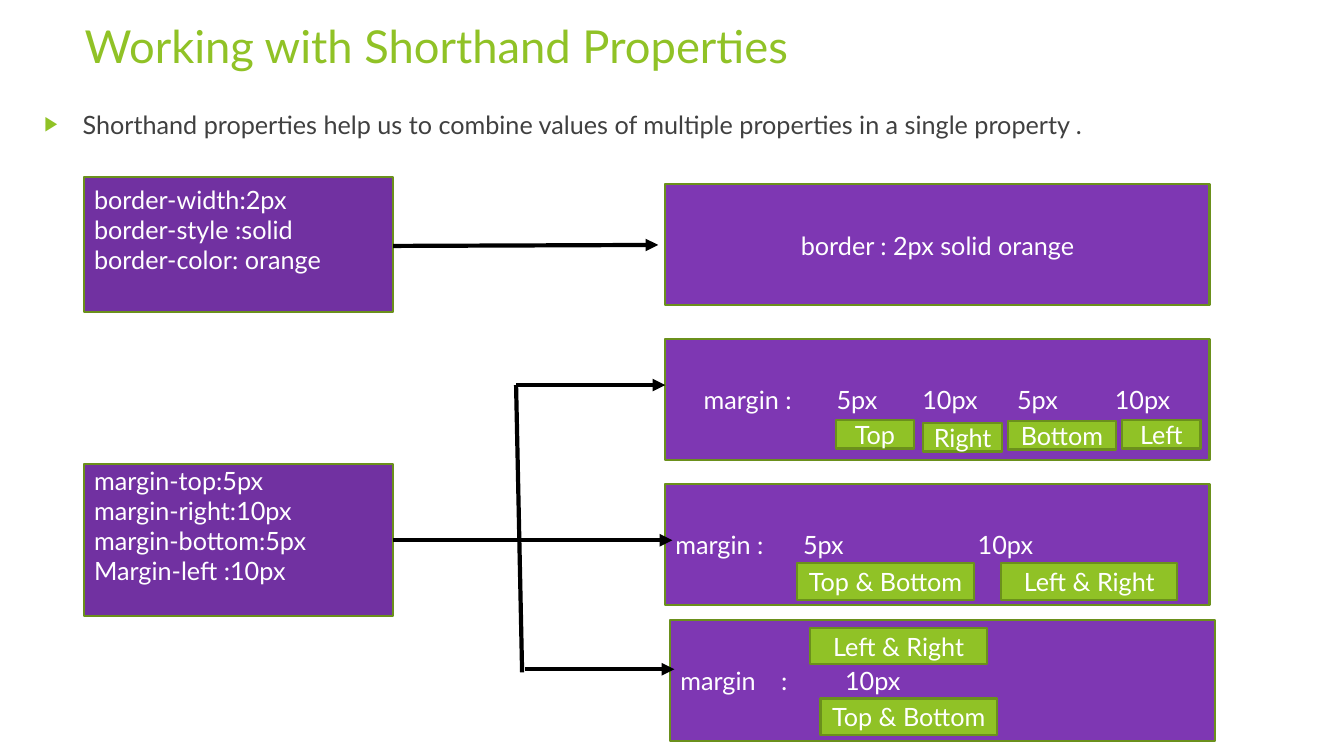
"""Build a slide on CSS shorthand properties with boxes, tags and arrows."""
from lxml.etree import SubElement
from pptx import Presentation
from pptx.dml.color import RGBColor
from pptx.enum.shapes import MSO_CONNECTOR as CONN, MSO_SHAPE as SHAPE
from pptx.enum.text import MSO_ANCHOR as ANCHOR, MSO_AUTO_SIZE as FIT, PP_ALIGN as ALIGN
from pptx.oxml.ns import qn
from pptx.util import Inches, Pt

GREEN = RGBColor(0x90, 0xC2, 0x26)
OLIVE = RGBColor(0x6B, 0x90, 0x1C)
PLUM = RGBColor(0x71, 0x31, 0xA1)
VIOLET = RGBColor(0x7E, 0x37, 0xB3)
GREY = RGBColor(0x40, 0x40, 0x40)
BLACK = RGBColor(0, 0, 0)
WHITE = RGBColor(255, 255, 255)
COLS, ROWS = 40, 22.5
CELL = Inches(13.333) / COLS


def cells(*values):
    return [round(v * CELL) for v in values]


def write(tf, text, size=18, color=WHITE, align=ALIGN.LEFT, anchor=ANCHOR.MIDDLE,
          left=0.3, top=0.15, tabs=()):
    tf.word_wrap, tf.auto_size, tf.vertical_anchor = True, FIT.NONE, anchor
    tf.margin_left, tf.margin_top = cells(left, top)
    for i, line in enumerate(text.split("\n")):
        p = tf.add_paragraph() if i else tf.paragraphs[0]
        p.alignment = align
        r = p.add_run()
        r.text = line
        r.font.name, r.font.size, r.font.color.rgb = "Lato", Pt(size), color
        if tabs:
            stops = SubElement(p._p.get_or_add_pPr(), qn("a:tabLst"))
            for pos in cells(*tabs):
                SubElement(stops, qn("a:tab"), pos=str(pos), algn="l")


class Deck:
    """Hold the style and the current slide."""

    def __init__(self):
        self.prs = Presentation()
        self.prs.slide_width, self.prs.slide_height = cells(COLS, ROWS)
        self.slide = self.prs.slides.add_slide(self.prs.slide_layouts[1])

    def title(self, text, *at):
        sp = self.slide.shapes.title
        sp.left, sp.top, sp.width, sp.height = cells(*at)
        write(sp.text_frame, text, size=32.4, color=GREEN)

    def bullet(self, text, *at):
        sp = self.slide.placeholders[1]
        sp.left, sp.top, sp.width, sp.height = cells(*at)
        write(sp.text_frame, text, color=GREY, anchor=ANCHOR.TOP)
        p = sp.text_frame.paragraphs[0]
        p.space_before = Pt(10)
        pPr = p._p.get_or_add_pPr()
        pPr.set("marL", str(Inches(0.38)))
        pPr.set("indent", str(-Inches(0.38)))
        clr = SubElement(pPr, qn("a:buClr"))
        SubElement(clr, qn("a:srgbClr"), val=str(GREEN))
        SubElement(pPr, qn("a:buSzPct"), val="80000")
        SubElement(pPr, qn("a:buChar"), char="▶")

    def box(self, text, *at, fill=VIOLET, **fmt):
        sp = self.slide.shapes.add_shape(SHAPE.RECTANGLE, *cells(*at))
        sp.shadow.inherit = False
        sp.fill.solid()
        sp.fill.fore_color.rgb = fill
        sp.line.color.rgb, sp.line.width = OLIVE, Pt(1.5)
        write(sp.text_frame, text, **fmt)

    def tag(self, text, *at):
        self.box(text, *at, fill=GREEN, align=ALIGN.CENTER)

    def line(self, *ends, arrow=False):
        cx = self.slide.shapes.add_connector(CONN.STRAIGHT, *cells(*ends))
        cx.line.color.rgb, cx.line.width = BLACK, Pt(3)
        if arrow:
            SubElement(cx.line._get_or_add_ln(), qn("a:tailEnd"), type="triangle")
        SubElement(cx._element.spPr, qn("a:effectLst"))


LEFT, LEFT_W = 2.5, 9.2
RIGHT, RIGHT_W, RIGHT_H = 19.8, 16.2, 3.6

deck = Deck()
deck.title("Working with Shorthand Properties", 2.22, 0.36, 28.2, 2)
deck.bullet("Shorthand properties help us to combine values of multiple properties "
            "in a single property .", 1.02, 3.09, 36.78, 16.7)

longhands = [
    ("border-width:2px\nborder-style :solid\nborder-color: orange", 5.28, 4.02, 0.2),
    ("margin-top:5px\nmargin-right:10px\nmargin-bottom:5px\nMargin-left :10px", 13.8, 4.53, 0.04),
]
for text, y, h, top in longhands:
    deck.box(text, LEFT, y, LEFT_W, h, fill=PLUM, anchor=ANCHOR.TOP, top=top)

deck.box("border : 2px solid orange", RIGHT, 5.49, RIGHT_W, RIGHT_H, align=ALIGN.CENTER)
shorthands = [
    ("margin :\t5px\t10px\t5px\t10px", RIGHT, 10.08, 1.14, (3.96, 6.51, 9.33, 12.24)),
    ("margin :\t5px\t10px", RIGHT, 14.4, 0.3, (3.8, 9)),
    ("margin\t:\t10px", 19.95, 18.45, 0.3, (3, 4.9)),
]
for text, x, y, left, tabs in shorthands:
    deck.box(text, x, y, RIGHT_W, RIGHT_H, left=left, tabs=tabs)

for text, x, y, w in [("Top", 24.87, 12.51, 2.34), ("Right", 27.48, 12.6, 2.34),
                      ("Bottom", 30, 12.54, 3.21), ("Left", 33.39, 12.51, 2.34)]:
    deck.tag(text, x, y, w, 0.84)
for text, x, y in [("Top & Bottom", 23.73, 16.77), ("Left & Right", 29.79, 16.77),
                   ("Top & Bottom", 24.42, 20.79), ("Left & Right", 24.12, 18.69)]:
    deck.tag(text, x, y, 5.25, 1.08)

deck.line(LEFT + LEFT_W, 7.32, 19.59, 7.29, arrow=True)
deck.line(15.36, 11.46, 15.54, 20.01)
deck.line(LEFT + LEFT_W, 16.08, 15.54, 16.08)
for x1, x2, y in [(15.36, RIGHT, 11.46), (15.54, 20.01, 16.08), (15.63, 20.07, 19.92)]:
    deck.line(x1, y, x2, y, arrow=True)

deck.prs.save("out.pptx")
